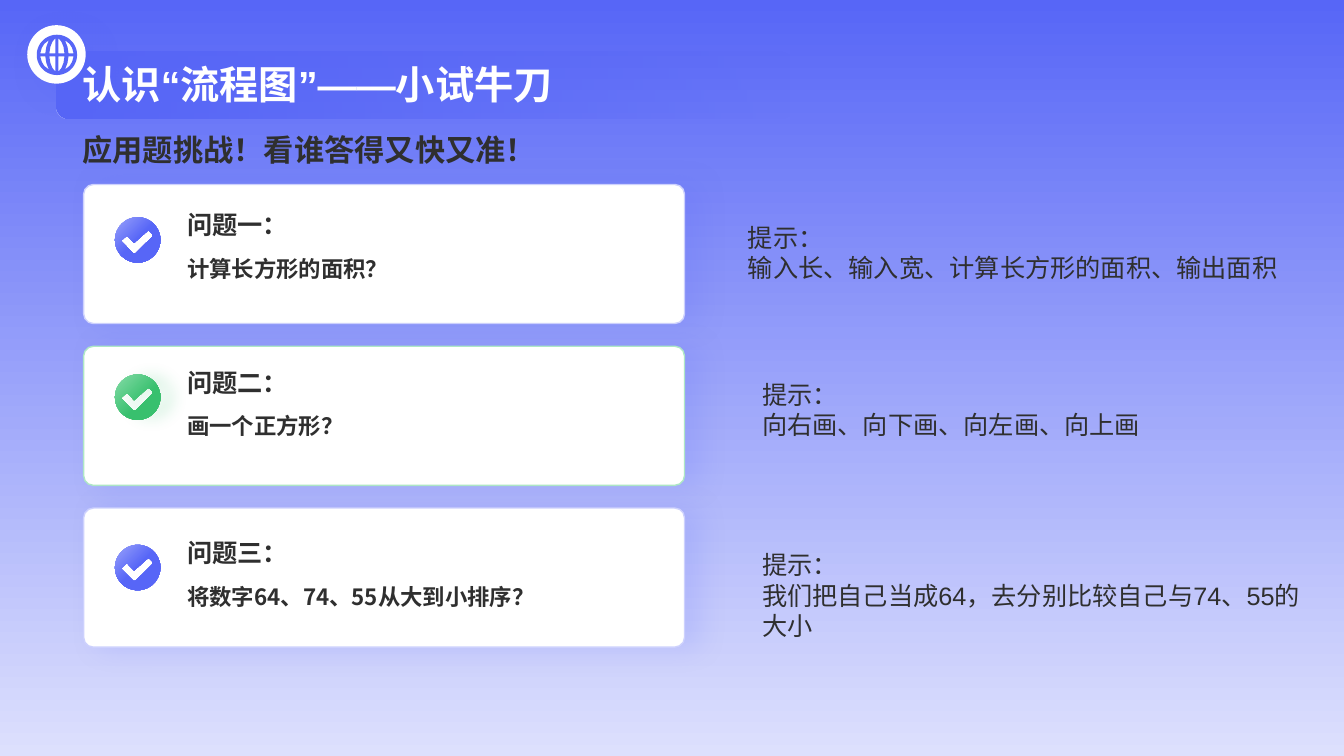
import math

import lxml.etree
import pptx
import pptx.dml.color
import pptx.enum.lang
import pptx.enum.shapes
import pptx.enum.text
import pptx.oxml.ns
import pptx.util

Inches, Pt = pptx.util.Inches, pptx.util.Pt
qn = pptx.oxml.ns.qn
SHAPE = pptx.enum.shapes.MSO_SHAPE
ANCHOR = pptx.enum.text.MSO_ANCHOR
RGB = pptx.dml.color.RGBColor

BLUE, LIGHT_BLUE = RGB(0x57, 0x66, 0xF7), RGB(0x9A, 0xA3, 0xFA)
GREEN, LIGHT_GREEN = RGB(0x38, 0xC0, 0x6E), RGB(0x85, 0xDC, 0xA8)
PALE_BLUE = RGB(0xDD, 0xE0, 0xFD)
BLUE_EDGE, GREEN_EDGE = RGB(0xCD, 0xD1, 0xFD), RGB(0xAE, 0xE7, 0xC5)
WHITE, INK = RGB(0xFF, 0xFF, 0xFF), RGB(0x2F, 0x2F, 0x2F)
SANS, CJK = "Arial", "Noto Sans CJK SC"

CARD_LEFT, CARD_TOP, CARD_W, CARD_H, CARD_PITCH = 0.83, 1.83, 5.96, 1.38, 1.605
TEXT_LEFT, TEXT_W, HEAD_H = 1.76, 5.03, 0.53
ICON_SIZE, ICON_DROP = 0.45, 0.255

# Outlines in thousandths of an inch, measured from the icon's centre
TICK = [(145, -60), (115, -90), (100, -90), (-35, 30), (-98, -35), (-115, -35),
        (-155, 0), (-155, 20), (-45, 132), (-20, 132), (145, -30)]
GLOBE_PANES = [
    [(15, 165), (15, 15), (75, 15), (65, 80), (45, 130)],
    [(165, 15), (115, 15), (105, 80), (80, 145), (125, 110), (150, 70)],
]

# heading, question, heading top, hint left, hint, edge, icon colours, turn point
QUESTIONS = [
    ("问题一：", "计算长方形的面积？", 1.9, 7.32,
     "输入长、输入宽、计算长方形的面积、输出面积", BLUE_EDGE, LIGHT_BLUE, BLUE, 0.5),
    ("问题二：", "画一个正方形？", 3.46, 7.46,
     "向右画、向下画、向左画、向上画", GREEN_EDGE, LIGHT_GREEN, GREEN, 0.6),
    ("问题三：", "将数字64、74、55从大到小排序？", 5.15, 7.46,
     "我们把自己当成64，去分别比较自己与74、55的大小", BLUE_EDGE, LIGHT_BLUE, BLUE, 0.5),
]


def set_gradient(fill, first, last, angle, end=1.0):
    """Angle is clockwise in degrees; end is where the last colour is reached."""
    fill.gradient()
    fill.gradient_angle = (360 - angle) % 360
    for stop, color, position in zip(fill.gradient_stops, (first, last), (0, end)):
        stop.color.rgb = color
        stop.position = position


def add_alpha(color_element, percent):
    alpha = lxml.etree.SubElement(color_element, qn("a:alpha"))
    alpha.set("val", str(percent * 1000))


def add_shadow(shape, color, alpha, blur, distance, angle=0):
    effects = shape._element.spPr.find(qn("a:effectLst"))
    shadow = lxml.etree.SubElement(effects, qn("a:outerShdw"))
    for key, value in (("blurRad", Pt(blur)), ("dist", Pt(distance)),
                       ("dir", angle * 60000), ("algn", "ctr"), ("rotWithShape", 0)):
        shadow.set(key, str(int(value)) if key != "algn" else value)
    add_alpha(lxml.etree.SubElement(shadow, qn("a:srgbClr"), val=str(color)), alpha)


def add_plain(s, kind, *box, line=None):
    shape = s.shapes.add_shape(kind, *map(Inches, box))
    shape.shadow.inherit = False
    shape.fill.solid()
    shape.fill.fore_color.rgb = WHITE
    if line is None:
        shape.line.fill.background()
    else:
        shape.line.color.rgb = line
        shape.line.width = Pt(1)
    return shape


def add_cutout(s, cx, cy, size, holes):
    """A disc around (cx, cy) with holes cut out of it."""
    radius = size * 500
    turns = [math.tau * i / 72 for i in range(72)]
    disc = [(radius * math.cos(t), radius * math.sin(t)) for t in turns]
    outlines = [[(cx * 1000 + x, cy * 1000 + y) for x, y in outline]
                for outline in [disc] + holes]
    builder = s.shapes.build_freeform(*outlines[0][0], scale=Inches(1) / 1000)
    for i, outline in enumerate(outlines):
        if i:
            builder.move_to(*outline[0])
        builder.add_line_segments(outline[1:], close=True)
    shape = builder.convert_to_shape()
    shape.shadow.inherit = False
    shape.line.fill.background()
    return shape


def write(tf, *lines, size=18, font=SANS, color=INK, bold=False,
          anchor=ANCHOR.TOP, spacing=None):
    tf.word_wrap = True
    tf.auto_size = pptx.enum.text.MSO_AUTO_SIZE.NONE
    tf.vertical_anchor = anchor
    for i, line in enumerate(lines):
        p = tf.add_paragraph() if i else tf.paragraphs[0]
        p.alignment = pptx.enum.text.PP_ALIGN.LEFT
        if spacing:
            p.line_spacing = spacing
        r = p.add_run()
        r.text = line
        r.font.size, r.font.bold, r.font.name = Pt(size), bold, font
        r.font.color.rgb = color
        r.font.language_id = pptx.enum.lang.MSO_LANGUAGE_ID.SIMPLIFIED_CHINESE
        lxml.etree.SubElement(r.font._element, qn("a:ea"), typeface=font)


def add_text(s, box, *lines, **style):
    write(s.shapes.add_textbox(*map(Inches, box)).text_frame, *lines, **style)


def add_header(s):
    band = add_plain(s, SHAPE.ROUNDED_RECTANGLE, 0.56, 0.51, 7.31, 0.67)
    set_gradient(band.fill, BLUE, BLUE, 0)
    add_alpha(list(band._element.iter(qn("a:srgbClr")))[-1], 0)
    badge = add_plain(s, SHAPE.OVAL, 0.27, 0.25, 0.58, 0.58)
    add_shadow(badge, BLUE, 30, 20, 10, 45)
    panes = [[(x * sx, y * sy) for x, y in pane]
             for pane in GLOBE_PANES for sx in (1, -1) for sy in (1, -1)]
    globe = add_cutout(s, 0.565, 0.545, 0.4, panes)
    globe.fill.solid()
    globe.fill.fore_color.rgb = BLUE

    title = s.shapes.title
    title.left, title.top, title.width, title.height = map(
        Inches, (0.72, 0.14, 11.88, 0.98))
    write(title.text_frame, "认识“流程图”——小试牛刀", size=28, color=WHITE,
          bold=True, anchor=ANCHOR.BOTTOM)
    s.shapes._spTree.append(title._element)  # bring in front of the band
    add_text(s, (0.72, 1.25, 5.94, 0.52), "应用题挑战！看谁答得又快又准！",
             size=21.6, bold=True)


def add_question(s, row, heading, question, top, hint_left, hint, edge,
                 light, dark, turn):
    card = add_plain(s, SHAPE.ROUNDED_RECTANGLE, CARD_LEFT,
                     CARD_TOP + row * CARD_PITCH, CARD_W, CARD_H, line=edge)
    card.adjustments[0] = 0.07
    add_shadow(card, BLUE, 15, 20, 10)
    add_text(s, (TEXT_LEFT, top, TEXT_W, HEAD_H), heading, bold=True,
             anchor=ANCHOR.BOTTOM)
    add_text(s, (TEXT_LEFT, top + HEAD_H, TEXT_W, 0.62), question, size=16,
             font=CJK, bold=True, spacing=1.2)
    icon_top = top + ICON_DROP
    icon = add_cutout(s, 1.365, icon_top + ICON_SIZE / 2, ICON_SIZE, [TICK])
    set_gradient(icon.fill, light, dark, 45, turn)
    if dark == GREEN:
        add_shadow(icon, GREEN, 15, 10, 10)
    add_text(s, (hint_left, icon_top, 5.74, 1.01 if row == 2 else 0.71),
             "提示：", hint)


def main():
    prs = pptx.Presentation()
    prs.slide_width, prs.slide_height = Inches(13.33), Inches(7.5)
    s = prs.slides.add_slide(prs.slide_layouts[5])
    set_gradient(s.background.fill, BLUE, PALE_BLUE, 90)
    add_header(s)
    for row, question in enumerate(QUESTIONS):
        add_question(s, row, *question)
    prs.save("out.pptx")


if __name__ == "__main__":
    main()
